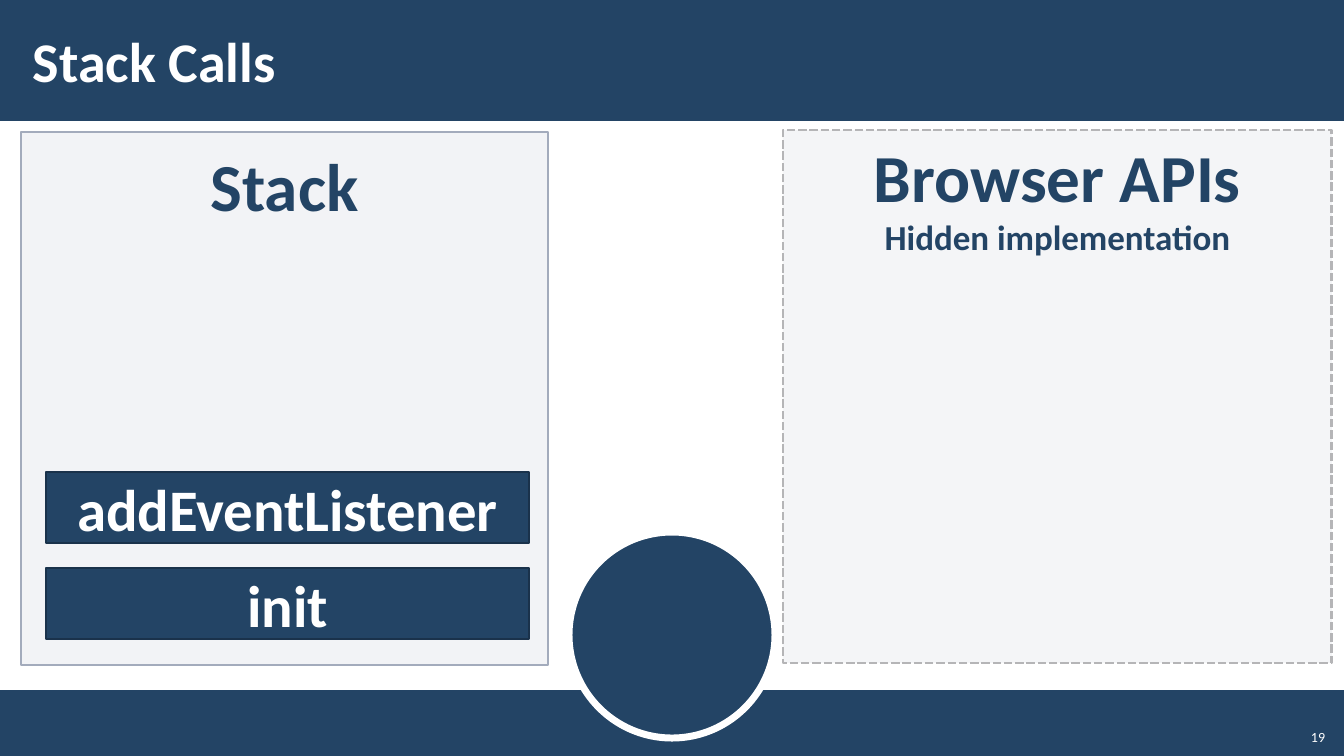
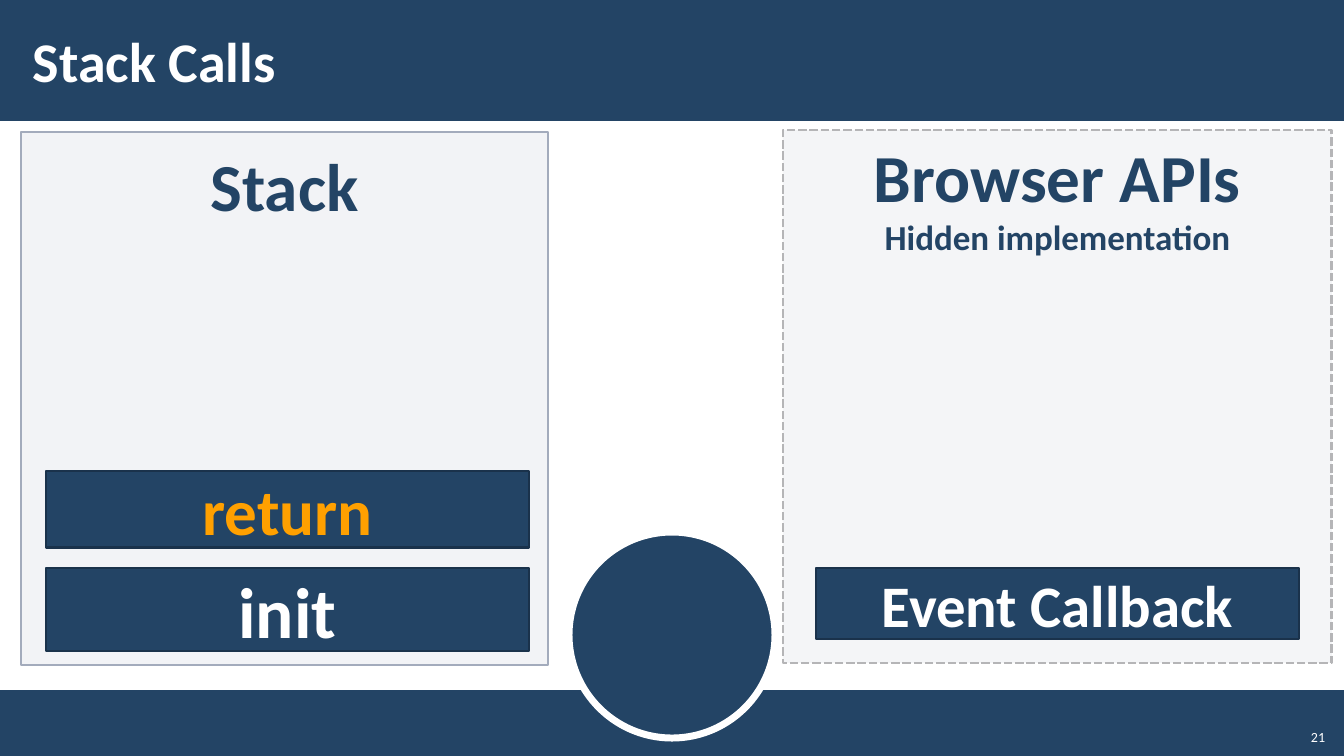
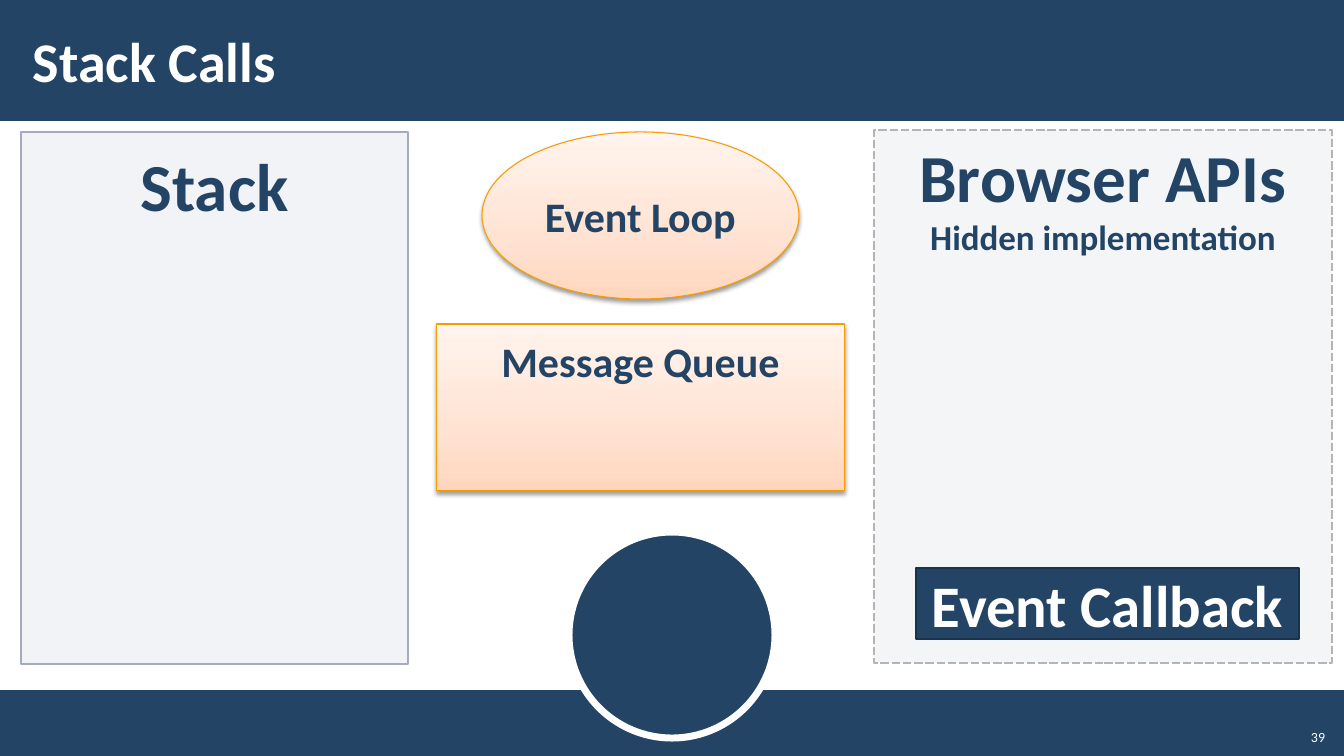
from lxml import etree
from pptx import Presentation
from pptx import util as u
from pptx.dml.color import RGBColor
from pptx.enum import dml, shapes, text
from pptx.oxml.ns import qn

PX = 914400 / 100.8
WIDTH, HEIGHT = 1344, 756
FONT = "Calibri"

NAVY = RGBColor(0x23, 0x44, 0x65)
DARK_NAVY = RGBColor(0x1A, 0x32, 0x4B)
WHITE = RGBColor(0xFF, 0xFF, 0xFF)
ORANGE = RGBColor(0xFF, 0xA0, 0x00)
EDGE_ORANGE = RGBColor(0xF9, 0x9C, 0x00)
STACK_FILL = RGBColor(0xC2, 0xC7, 0xD2)
STACK_EDGE = RGBColor(0xA3, 0xAB, 0xBC)
API_FILL = RGBColor(0xF4, 0xF5, 0xF7)
API_EDGE = RGBColor(0xB5, 0xB5, 0xB7)
PEACH_STOPS = [
    (0, RGBColor(0xFF, 0xD6, 0xBD)),
    (35, RGBColor(0xFF, 0xE2, 0xD1)),
    (100, RGBColor(0xFF, 0xF4, 0xEE)),
]

RECT, OVAL = shapes.MSO_SHAPE.RECTANGLE, shapes.MSO_SHAPE.OVAL
TOP, MIDDLE, BOTTOM = (text.MSO_ANCHOR.TOP, text.MSO_ANCHOR.MIDDLE,
                       text.MSO_ANCHOR.BOTTOM)
LEFT, CENTER, RIGHT = text.PP_ALIGN.LEFT, text.PP_ALIGN.CENTER, text.PP_ALIGN.RIGHT


# Shared helpers
def emu(box):
    return [u.Emu(round(length * PX)) for length in box]


def write(shape, words, size, colour=NAVY, bold=True, align=CENTER,
          anchor=TOP, more=False):
    """Write one paragraph; more=True adds it below those already there."""
    frame = shape.text_frame
    frame.word_wrap = True
    frame.vertical_anchor = anchor
    para = frame.add_paragraph() if more else frame.paragraphs[0]
    para.alignment = align
    span = para.add_run()
    span.text = words
    font = span.font
    font.name, font.size, font.bold = FONT, u.Pt(size), bold
    font.color.rgb = colour
    return para


def outline(shape, colour, points):
    shape.line.color.rgb = colour
    shape.line.width = u.Pt(points)


def add_block(page, box, fill, kind=RECT):
    shape = page.shapes.add_shape(kind, *emu(box))
    shape.shadow.inherit = False
    shape.fill.solid()
    shape.fill.fore_color.rgb = fill
    shape.line.fill.background()
    return shape


def place(holder, box, across, down):
    """Move a placeholder and set its margins."""
    holder.left, holder.top, holder.width, holder.height = emu(box)
    frame = holder.text_frame
    frame.auto_size = text.MSO_AUTO_SIZE.NONE
    frame.margin_left, frame.margin_right = emu((across, across))
    frame.margin_top, frame.margin_bottom = emu((down, down))


def write_body(holder, box, words, size):
    """Use a body placeholder as a panel with an unbulleted heading."""
    place(holder, box, 16, 12)
    para = write(holder, words, size)
    properties = para._p.get_or_add_pPr()
    properties.set("marL", "0")
    properties.set("indent", "0")
    etree.SubElement(properties, qn("a:buNone"))
    para.space_before = u.Pt(0)


def set_peach(shape):
    """Peach gradient, orange edge and a soft shadow below."""
    shape.fill.gradient()
    shape.fill.gradient_angle = 90
    properties = shape.element.spPr
    stops = properties.find(qn("a:gradFill")).find(qn("a:gsLst"))
    for stop in list(stops):
        stops.remove(stop)
    for percent, colour in PEACH_STOPS:
        stop = etree.SubElement(stops, qn("a:gs"), pos=str(percent * 1000))
        etree.SubElement(stop, qn("a:srgbClr"), val=str(colour))
    outline(shape, EDGE_ORANGE, 0.75)
    shape.shadow.inherit = False
    shadow = etree.SubElement(
        properties.find(qn("a:effectLst")), qn("a:outerShdw"),
        blurRad="40000", dist="20000", dir="5400000", rotWithShape="0")
    black = etree.SubElement(shadow, qn("a:srgbClr"), val="000000")
    etree.SubElement(black, qn("a:alpha"), val="38000")


def add_master_bands(deck, page):
    """Draw the bands and the circle, then move them behind the master's text."""
    footer = add_block(page, (0, 690, WIDTH, 66), NAVY)
    circle = add_block(page, (569, 532, 206, 206), NAVY, OVAL)
    outline(circle, WHITE, 5)
    header = add_block(page, (0, 0, WIDTH, 121), NAVY)
    tree = deck.slide_master.shapes.element
    for order, shape in enumerate((footer, circle, header)):
        shape.element.xpath(".//p:cNvPr")[0].set("id", str(101 + order))
        tree.insert(2 + order, shape.element)


# Regions
def add_page(deck, layout, number):
    page = deck.slides.add_slide(deck.slide_layouts.get_by_name(layout))
    title = page.shapes.title
    place(title, (21, 11, 1072, 98), 12, 4)
    write(title, "Stack Calls", 40, WHITE, align=LEFT, anchor=MIDDLE)
    box = page.shapes.add_textbox(*emu((1295, 718, 40, 32)))
    write(box, number, 10, WHITE, bold=False, align=RIGHT, anchor=BOTTOM)
    return page


def add_call(page, panel, name, top, left, right, height=71, size=42, colour=WHITE):
    """A call inside a panel; left, right and top are gaps to its edges."""
    x, y, width, _ = panel
    call = add_block(page, (x + left, y + top, width - left - right, height), NAVY)
    outline(call, DARK_NAVY, 2)
    write(call, name, size, colour, anchor=MIDDLE)


def fill_stack(page, panel, calls=()):
    stack = page.placeholders[1]
    write_body(stack, panel, "Stack", 48)
    stack.fill.solid()
    stack.fill.fore_color.rgb = STACK_FILL
    colour = stack.element.spPr.find(qn("a:solidFill"))[0]
    etree.SubElement(colour, qn("a:alpha"), val="20000")
    outline(stack, STACK_EDGE, 1)
    for call in calls:
        add_call(page, panel, left=25, right=19, **call)


def add_apis(page, panel, callback_left=None):
    apis = add_block(page, panel, API_FILL)
    outline(apis, API_EDGE, 2)
    apis.line.dash_style = dml.MSO_LINE.SQUARE_DOT
    write(apis, "Browser APIs", 48)
    write(apis, "Hidden implementation", 25, more=True)
    if callback_left is not None:
        add_call(page, panel, "Event Callback", 438, callback_left, 33)


def add_loop(page, box):
    """Event loop above the message queue, both centred in the box."""
    x, y, width, _ = box
    queue = page.placeholders[2]
    write_body(queue, (x, y + 192, width, 167), "Message Queue", 30)
    set_peach(queue)
    loop = add_block(page, (x + 46, y, width - 92, 167), WHITE, OVAL)
    set_peach(loop)
    write(loop, "Event Loop", 30, anchor=MIDDLE)


def main():
    deck = Presentation()
    deck.slide_width, deck.slide_height = emu((WIDTH, HEIGHT))
    wide_stack, wide_apis = (21, 132, 527, 533), (783, 130, 549, 533)

    # Listener is being added
    page = add_page(deck, "Title and Content", "19")
    add_master_bands(deck, page)
    fill_stack(page, wide_stack, [
        dict(name="init", top=436),
        dict(name="addEventListener", top=340),
    ])
    add_apis(page, wide_apis)

    # Listener returns, callback is registered
    page = add_page(deck, "Title and Content", "21")
    fill_stack(page, wide_stack, [
        dict(name="init", top=436, height=83, size=51),
        dict(name="return", top=339, height=77, size=46.5, colour=ORANGE),
    ])
    add_apis(page, wide_apis, callback_left=33)

    # Empty stack with event loop and queue
    page = add_page(deck, "Two Content", "39")
    fill_stack(page, (21, 132, 387, 532))
    add_apis(page, (874, 130, 458, 533), callback_left=42)
    add_loop(page, (436, 132, 409, 359))

    deck.save("out.pptx")


if __name__ == "__main__":
    main()
